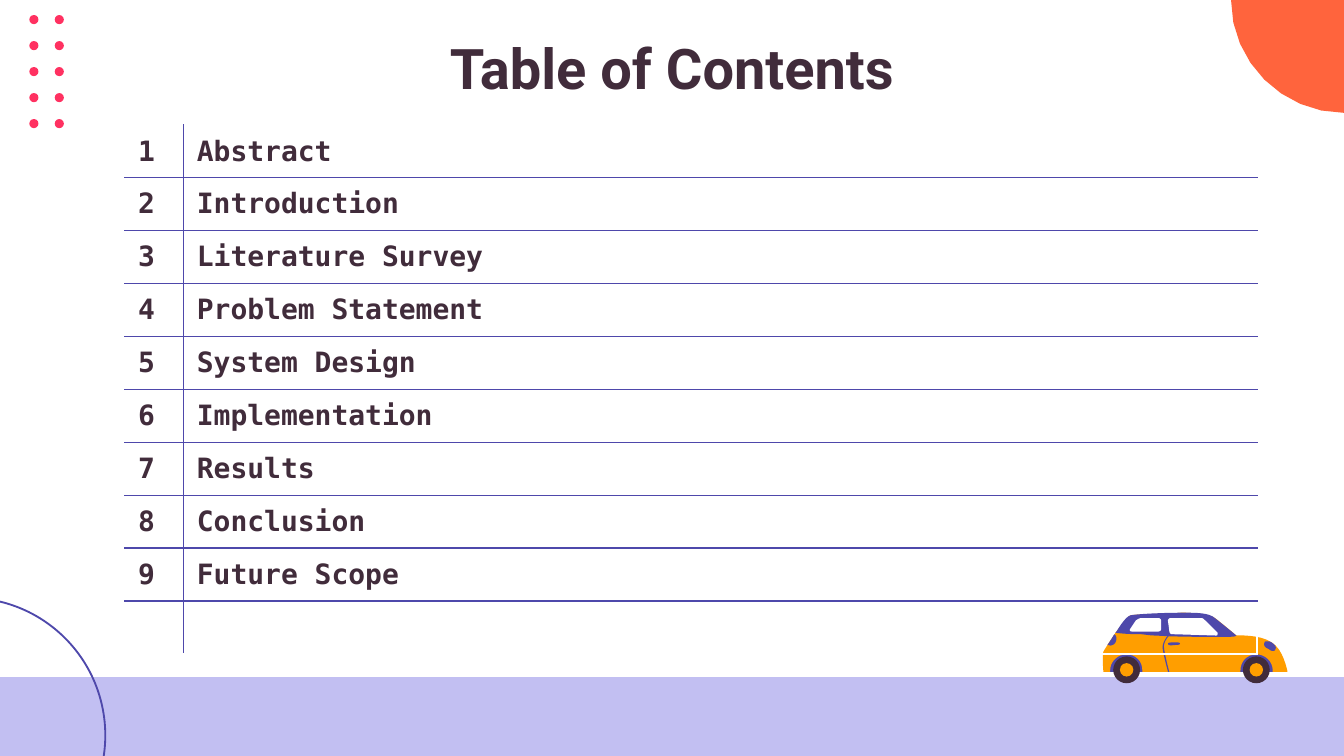
from dataclasses import dataclass

from lxml import etree
from pptx import Presentation
from pptx import util as u
from pptx.dml.color import RGBColor
from pptx.enum import shapes, text
from pptx.oxml import ns
from pptx.shapes.shapetree import SlideShapes

COLORS = {
    "ink": "412C3B",
    "indigo": "4E48AB",
    "lavender": "C2BFF2",
    "coral": "FF643D",
    "pink": "FF3161",
    "amber": "FF9E00",
    "white": "FFFFFF",
}
SECTIONS = [
    "Abstract", "Introduction", "Literature Survey", "Problem Statement",
    "System Design", "Implementation", "Results", "Conclusion", "Future Scope",
]
UNIT_CM = 0.0254
CURVE_STEPS = 8


@dataclass
class Outline:
    color: str
    start: tuple[float, float]
    segments: list[tuple[float, ...]]


@dataclass
class Disc:
    color: str
    center_x: float
    center_y: float
    diameter: float


CORNER = Outline("coral", (916, 0), [(916, 46, 954, 84, 1000, 84), (1000, 0)])

CAR_BODY = [
    Outline("indigo", (824, 500), [
        (826, 487), (842, 482), (899, 482), (939, 484), (950, 491), (950, 500)]),
    Outline("amber", (826, 499), [
        (826, 492, 832, 487, 838, 487), (845, 487, 850, 492, 850, 499),
        (850, 500), (923, 500), (923, 499),
        (923, 492, 928, 487, 935, 487), (941, 487, 947, 492, 947, 499),
        (947, 500), (958, 500),
        (958, 500, 955, 483, 946, 478), (937, 472, 920, 473, 920, 473),
        (920, 473, 908, 463, 904, 460), (900, 457, 887, 456, 879, 456),
        (872, 457, 844, 457, 841, 458), (838, 460, 830, 471, 830, 471),
        (830, 471, 822, 483, 821, 485), (820, 488, 821, 500, 821, 500),
        (826, 500)]),
]
CAR_DETAILS = [
    Outline("indigo", (829, 472), [
        (828, 474, 826, 477, 824, 480), (825, 480),
        (826, 481, 829, 480, 830, 478), (831, 476, 831, 473, 829, 472)]),
    Outline("indigo", (949, 483), [
        (949, 485, 946, 485, 944, 483), (941, 482, 940, 480, 941, 478),
        (941, 477, 944, 477, 946, 478), (949, 480, 950, 482, 949, 483)]),
    Outline("indigo", (920, 473), [
        (920, 473, 908, 463, 904, 460), (900, 456, 889, 456, 883, 456),
        (877, 456), (867, 456, 844, 457, 841, 458),
        (837, 459, 831, 470, 830, 471), (831, 471, 837, 472, 849, 472),
        (851, 472, 855, 473, 860, 473), (874, 474, 894, 474, 907, 474),
        (917, 474, 919, 474, 920, 473)]),
    Outline("white", (842, 470), [
        (841, 470, 840, 469, 841, 468), (845, 462),
        (846, 461, 848, 460, 849, 460), (862, 460),
        (863, 460, 864, 461, 864, 462), (864, 468),
        (864, 469, 863, 470, 862, 470)]),
    Outline("white", (869, 462), [
        (869, 461, 870, 460, 871, 460), (894, 460),
        (895, 460, 896, 461, 897, 462), (906, 471),
        (906, 472, 906, 473, 905, 473), (872, 472),
        (871, 472, 870, 471, 870, 469)]),
    Outline("indigo", (869, 500), [
        (869, 499, 865, 486, 865, 481), (866, 476, 869, 473, 869, 473),
        (870, 473), (870, 473, 866, 477, 866, 481),
        (866, 485, 870, 500, 870, 500)]),
    Outline("indigo", (875, 480), [
        (878, 480, 878, 479, 878, 479), (878, 479, 878, 478, 875, 478),
        (873, 478, 869, 478, 869, 479), (869, 481, 873, 480, 875, 480)]),
]
WHEELS = [
    Disc(color, center_x, 498.5, diameter)
    for center_x in (838.3, 934.8)
    for color, diameter in (("ink", 20), ("amber", 10))
]
DOTS = [
    Disc("pink", 25.2 + 18.9 * column, 14.6 + 19.35 * row, 6.8)
    for column in range(2) for row in range(5)
]


def rgb(color: str) -> RGBColor:
    return RGBColor.from_string(COLORS[color])


def length(units: float) -> u.Length:
    return u.Cm(units * UNIT_CM)


def paint(figure, color: str) -> None:
    figure.fill.solid()
    figure.fill.fore_color.rgb = rgb(color)
    figure.line.fill.background()
    figure.shadow.inherit = False


def flatten(outline: Outline) -> list[tuple[float, float]]:
    points = [outline.start]
    for segment in outline.segments:
        if len(segment) == 2:
            points.append(segment)
            continue
        x0, y0 = points[-1]
        x1, y1, x2, y2, x3, y3 = segment
        for step in range(1, CURVE_STEPS + 1):
            t = step / CURVE_STEPS
            a, b, c, d = (1 - t) ** 3, 3 * t * (1 - t) ** 2, 3 * t * t * (1 - t), t ** 3
            points.append((a * x0 + b * x1 + c * x2 + d * x3,
                           a * y0 + b * y1 + c * y2 + d * y3))
    return points


def draw_outline(canvas: SlideShapes, outline: Outline) -> None:
    start, *rest = [(length(x), length(y)) for x, y in flatten(outline)]
    builder = canvas.build_freeform(*start)
    builder.add_line_segments(rest, close=True)
    paint(builder.convert_to_shape(), outline.color)


def draw_disc(canvas: SlideShapes, disc: Disc) -> None:
    radius = disc.diameter / 2
    circle = canvas.add_shape(
        shapes.MSO_SHAPE.OVAL, length(disc.center_x - radius),
        length(disc.center_y - radius), length(disc.diameter), length(disc.diameter))
    paint(circle, disc.color)


def add_borders(cell, sides: str) -> None:
    properties = cell._tc.get_or_add_tcPr()
    for position, side in enumerate(sides):
        border = etree.Element(ns.qn(f"a:ln{side}"), w=str(u.Pt(0.75)))
        fill = etree.SubElement(border, ns.qn("a:solidFill"))
        etree.SubElement(fill, ns.qn("a:srgbClr"), val=COLORS["indigo"])
        properties.insert(position, border)


def draw_contents(canvas: SlideShapes) -> None:
    row_count = len(SECTIONS) + 1
    contents = canvas.add_table(
        row_count, 2, u.Cm(2.36), u.Cm(2.36), u.Cm(21.4), u.Cm(row_count)).table
    contents.first_row = contents.horz_banding = False
    contents.columns[0].width, contents.columns[1].width = u.Cm(1.11), u.Cm(20.29)
    entries = [(str(number), name) for number, name in enumerate(SECTIONS, 1)]
    for row, entry in enumerate(entries + [("", "")]):
        contents.rows[row].height = u.Cm(1)
        for column, label in enumerate(entry):
            cell = contents.cell(row, column)
            cell.text = label
            cell.vertical_anchor = text.MSO_ANCHOR.MIDDLE
            cell.margin_left = cell.margin_right = u.Cm(0.25)
            cell.margin_top = cell.margin_bottom = 0
            font = cell.text_frame.paragraphs[0].font
            font.name, font.size, font.bold = "DejaVu Sans Mono", u.Pt(15), True
            font.color.rgb = rgb("ink")
            cell.fill.background()
            above = "T" if row else ""
            below = "B" if row < row_count - 1 else ""
            add_borders(cell, "RL"[column] + above + below)


def main() -> None:
    deck = Presentation()
    deck.slide_width, deck.slide_height = u.Cm(25.4), u.Cm(14.29)
    slide = deck.slides.add_slide(deck.slide_layouts[5])
    canvas = slide.shapes

    road = canvas.add_shape(
        shapes.MSO_SHAPE.RECTANGLE, u.Cm(-0.05), u.Cm(12.8), u.Cm(25.5), u.Cm(1.49))
    paint(road, "lavender")
    draw_outline(canvas, CORNER)
    for dot in DOTS:
        draw_disc(canvas, dot)
    ring = canvas.add_shape(
        shapes.MSO_SHAPE.OVAL, u.Cm(-3.21), u.Cm(11.3), u.Cm(5.2), u.Cm(5.2))
    ring.fill.background()
    ring.line.color.rgb, ring.line.width = rgb("indigo"), u.Pt(1)
    ring.shadow.inherit = False

    heading = canvas.title
    heading.left, heading.top = u.Cm(2), u.Cm(0.46)
    heading.width, heading.height = u.Cm(21.4), u.Cm(1.6)
    heading.text_frame.text = "Table of Contents"
    heading.text_frame.vertical_anchor = text.MSO_ANCHOR.MIDDLE
    title_line = heading.text_frame.paragraphs[0]
    title_line.alignment = text.PP_ALIGN.CENTER
    title_font = title_line.runs[0].font
    title_font.name, title_font.size, title_font.bold = "Roboto", u.Pt(30), True
    title_font.color.rgb = rgb("ink")

    for panel in CAR_BODY:
        draw_outline(canvas, panel)
    for wheel in WHEELS:
        draw_disc(canvas, wheel)
    for detail in CAR_DETAILS:
        draw_outline(canvas, detail)
    draw_contents(canvas)
    deck.save("out.pptx")


if __name__ == "__main__":
    main()
